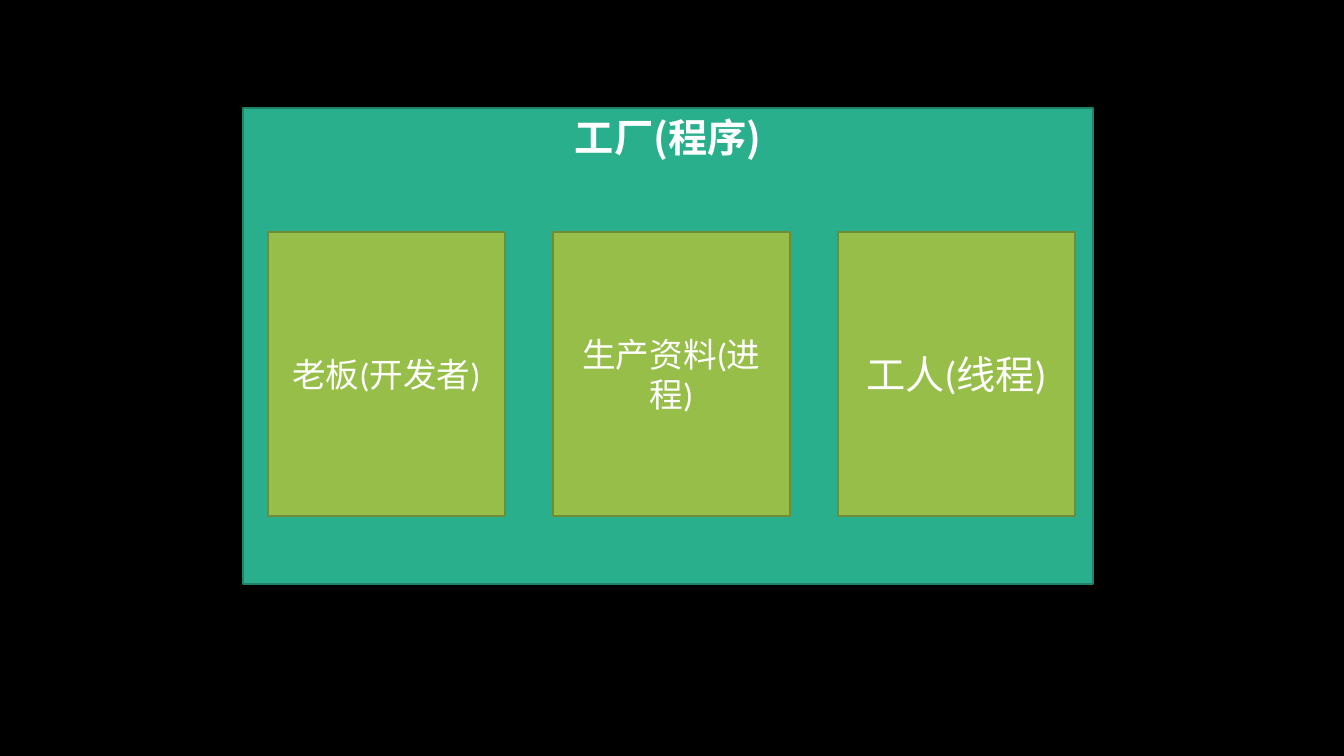
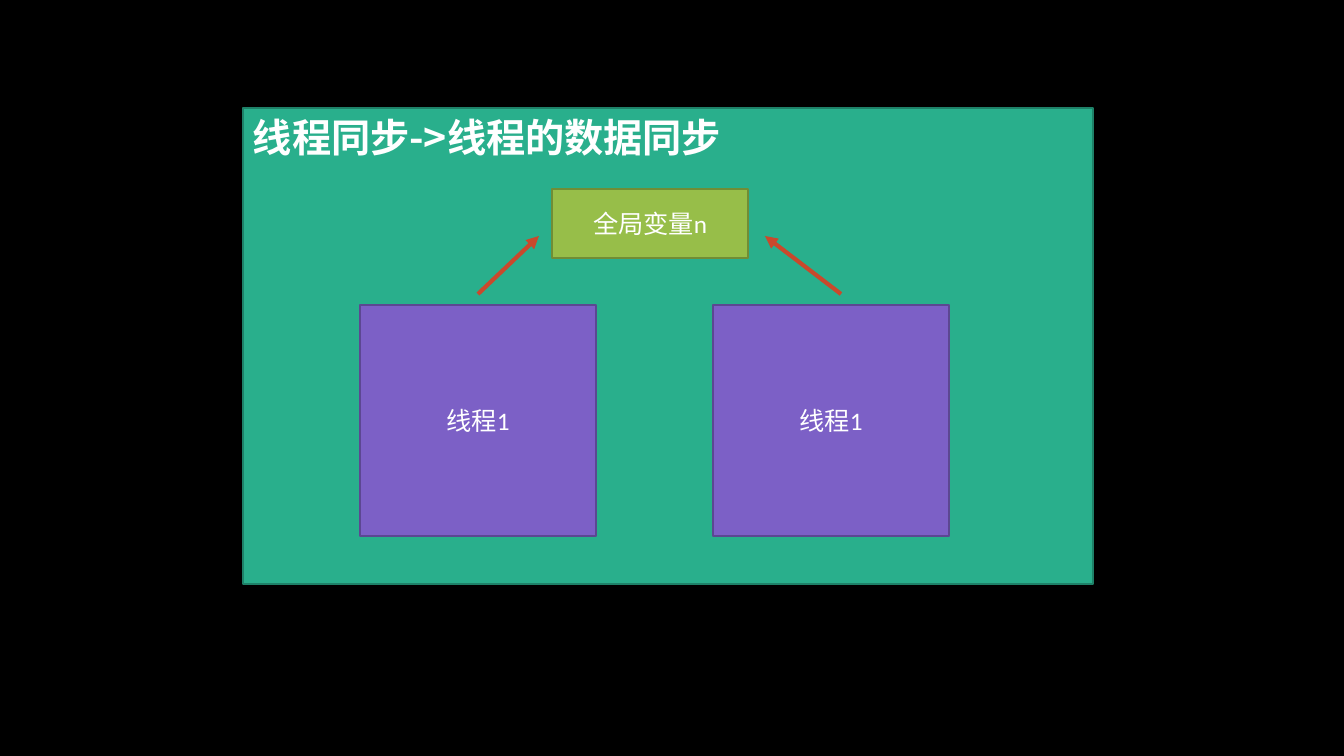
from lxml import etree
from pptx import Presentation
from pptx import util as u
from pptx.dml.color import RGBColor
from pptx.enum import shapes, text
from pptx.oxml.ns import qn

SLIDE_W, SLIDE_H = 1344, 756
EMU_PER_PX = 12192000 / SLIDE_W

BLACK = RGBColor(0x00, 0x00, 0x00)
WHITE = RGBColor(0xFF, 0xFF, 0xFF)
TEAL = RGBColor(0x29, 0xAF, 0x8C)
TEAL_EDGE = RGBColor(0x1E, 0x81, 0x68)
GREEN = RGBColor(0x97, 0xBE, 0x49)
GREEN_EDGE = RGBColor(0x70, 0x8D, 0x36)
PURPLE = RGBColor(0x7C, 0x60, 0xC6)
PURPLE_EDGE = RGBColor(0x5C, 0x47, 0x92)
RED = RGBColor(0xC9, 0x49, 0x2C)

LATIN = "Calibri"
CHINESE = "Noto Sans CJK SC"
FRAME = (243, 108, 850, 476)


def px(length):
    return u.Emu(round(length * EMU_PER_PX))


def write(shape, words, size=18, font=LATIN, bold=False,
          align=text.PP_ALIGN.CENTER, anchor=text.MSO_ANCHOR.MIDDLE):
    frame = shape.text_frame
    frame.word_wrap = True
    frame.vertical_anchor = anchor
    paragraph = frame.paragraphs[0]
    paragraph.alignment = align
    run = paragraph.add_run()
    run.text = words
    run.font.name = font
    run.font.size = u.Pt(size)
    run.font.bold = bold
    run.font.color.rgb = WHITE
    east_asian = etree.Element(qn("a:ea"), typeface=CHINESE)
    run.font._element.find(qn("a:latin")).addnext(east_asian)


def block(slide, box, fill, edge, words, **style):
    shape = slide.shapes.add_shape(
        shapes.MSO_SHAPE.RECTANGLE, *(px(length) for length in box))
    shape.shadow.inherit = False
    shape.fill.solid()
    shape.fill.fore_color.rgb = fill
    shape.line.color.rgb = edge
    shape.line.width = u.Pt(1)
    write(shape, words, **style)


def arrow(slide, start, end):
    connector = slide.shapes.add_connector(
        shapes.MSO_CONNECTOR.STRAIGHT, *(px(length) for length in start + end))
    connector.line.color.rgb = RED
    connector.line.width = u.Pt(3)
    etree.SubElement(connector.line._get_or_add_ln(), qn("a:tailEnd"), type="triangle")
    etree.SubElement(connector._element.spPr, qn("a:effectLst"))


def framed_slide(deck, title, align):
    slide = deck.slides.add_slide(deck.slide_layouts[6])
    slide.background.fill.solid()
    slide.background.fill.fore_color.rgb = BLACK
    block(slide, FRAME, TEAL, TEAL_EDGE, title, size=28, font=CHINESE,
          bold=True, align=align, anchor=text.MSO_ANCHOR.TOP)
    return slide


def factory_roles(slide, box, roles):
    left, top, _, _ = box
    width, height, gap = 237, 284, 48
    for index, (role, size) in enumerate(roles):
        role_left = left + 25 + index * (width + gap)
        block(slide, (role_left, top + 124, width, height),
              GREEN, GREEN_EDGE, role, size=size)


def shared_variable(slide, box, variable, threads):
    left, top, _, _ = box
    side, height, gap = 236, 231, 117
    for index, (thread, tip) in enumerate(threads):
        thread_left = left + 117 + index * (side + gap)
        block(slide, (thread_left, top + 197, side, height),
              PURPLE, PURPLE_EDGE, thread)
        arrow(slide, (thread_left + side // 2 + index * 10, top + 186),
              (left + tip, top + 128))
    block(slide, (left + 309, top + 81, 196, 69), GREEN, GREEN_EDGE, variable)


deck = Presentation()
deck.slide_width, deck.slide_height = px(SLIDE_W), px(SLIDE_H)

factory = framed_slide(deck, "工厂(程序)", text.PP_ALIGN.CENTER)
factory_roles(factory, FRAME,
              [("老板(开发者)", 24), ("生产资料(进程)", 24), ("工人(线程)", 28)])

synchronisation = framed_slide(deck, "线程同步->线程的数据同步", text.PP_ALIGN.LEFT)
shared_variable(synchronisation, FRAME, "全局变量n", [("线程1", 296), ("线程1", 522)])

deck.save("out.pptx")
